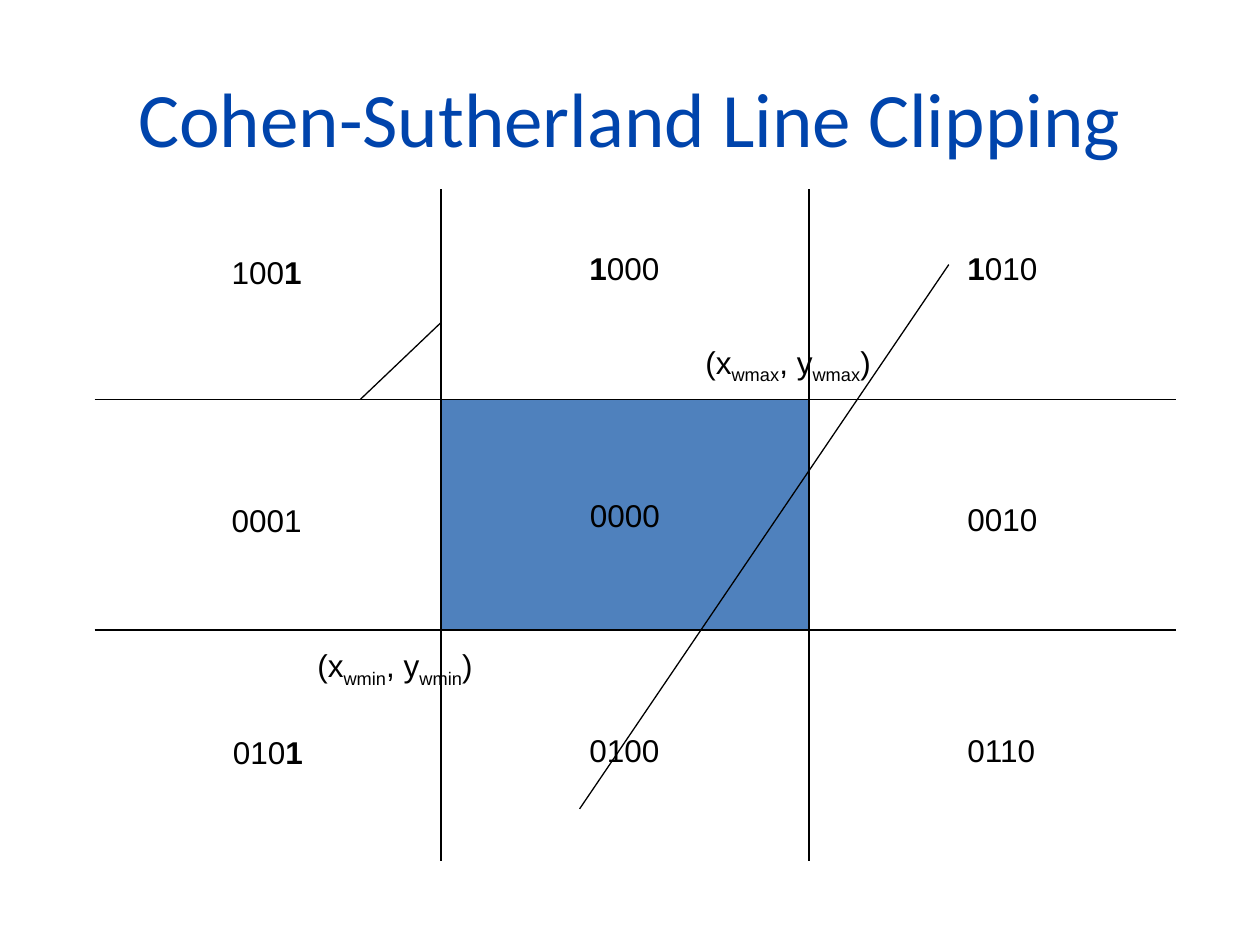
from pptx import Presentation
from pptx.dml.color import RGBColor
from pptx.enum.shapes import MSO_CONNECTOR, MSO_SHAPE
from pptx.enum.text import MSO_ANCHOR, PP_ALIGN
from pptx.oxml.ns import qn
from pptx.util import Inches, Pt
from lxml.etree import SubElement

COLORS = {"title": "0044AC", "window": "4F81BD", "ink": "000000"}


class ClippingSlide:
    def __init__(self, slide):
        self.slide = slide

    def color(self, name):
        return RGBColor.from_string(COLORS[name])

    def style_text(self, paragraph, size=18, font="Arial", color="ink"):
        paragraph.font.size = Pt(size)
        paragraph.font.name = font
        paragraph.font.color.rgb = self.color(color)

    def title(self, text, left, top, width, height):
        shape = self.slide.shapes.add_textbox(
            Inches(left), Inches(top), Inches(width), Inches(height))
        frame = shape.text_frame
        frame.word_wrap = True
        frame.vertical_anchor = MSO_ANCHOR.MIDDLE
        paragraph = frame.paragraphs[0]
        paragraph.text = text
        paragraph.alignment = PP_ALIGN.CENTER
        self.style_text(paragraph, 44, "Calibri", "title")

    def window(self, text, left, top, right, bottom):
        shape = self.slide.shapes.add_shape(
            MSO_SHAPE.RECTANGLE, Inches(left), Inches(top),
            Inches(right - left), Inches(bottom - top))
        shape.shadow.inherit = False
        shape.fill.solid()
        shape.fill.fore_color.rgb = self.color("window")
        shape.line.color.rgb = self.color("ink")
        shape.line.width = Pt(0.75)
        shape.text_frame.vertical_anchor = MSO_ANCHOR.MIDDLE
        paragraph = shape.text_frame.paragraphs[0]
        paragraph.text = text
        paragraph.alignment = PP_ALIGN.CENTER
        self.style_text(paragraph)

    def line(self, start_x, start_y, end_x, end_y):
        connector = self.slide.shapes.add_connector(
            MSO_CONNECTOR.STRAIGHT, Inches(start_x), Inches(start_y),
            Inches(end_x), Inches(end_y))
        connector.line.color.rgb = self.color("ink")
        connector.line.width = Pt(0.75)
        SubElement(connector._element.spPr, qn("a:effectLst"))

    def label(self, left, top, width, runs):
        shape = self.slide.shapes.add_textbox(
            Inches(left), Inches(top), Inches(width), Inches(0.4))
        shape.text_frame.word_wrap = False
        paragraph = shape.text_frame.paragraphs[0]
        self.style_text(paragraph)
        for text, style in runs:
            run = paragraph.add_run()
            run.text = text
            if style == "bold":
                run.font.bold = True
            elif style == "subscript":
                run._r.get_or_add_rPr().set("baseline", "-25000")

    def corner(self, left, top, width, subscript):
        self.label(left, top, width, [
            ("(x", "plain"), (subscript, "subscript"),
            (", y", "plain"), (subscript, "subscript"), (")", "plain")])


def main():
    presentation = Presentation()
    presentation.slide_width = Inches(10)
    presentation.slide_height = Inches(7.5)
    drawing = ClippingSlide(
        presentation.slides.add_slide(presentation.slide_layouts[6]))

    x_min, x_max = 3.5, 6.42
    y_top, y_bottom = 3.17, 5

    drawing.title("Cohen-Sutherland Line Clipping", 0.5, 0.3, 9, 1.25)
    drawing.window("0000", x_min, y_top, x_max, y_bottom)
    for x in (x_min, x_max):
        drawing.line(x, 1.5, x, 6.83)
    for y in (y_top, y_bottom):
        drawing.line(0.75, y, 9.33, y)

    region_codes = [
        (1.74, 1.96, [("100", "plain"), ("1", "bold")]),
        (1.74, 3.93, [("0001", "plain")]),
        (1.75, 5.77, [("010", "plain"), ("1", "bold")]),
        (4.58, 5.75, [("0100", "plain")]),
        (7.58, 5.75, [("0110", "plain")]),
        (7.58, 3.92, [("0010", "plain")]),
        (7.58, 1.93, [("1", "bold"), ("010", "plain")]),
        (4.58, 1.93, [("1", "bold"), ("000", "plain")]),
    ]
    for left, top, runs in region_codes:
        drawing.label(left, top, 0.76, runs)

    drawing.line(2.86, y_top, x_min, 2.56)
    drawing.corner(2.42, 5.08, 1.55, "wmin")
    drawing.corner(5.5, 2.67, 1.64, "wmax")
    drawing.line(7.53, 2.1, 4.6, 6.42)

    presentation.save("out.pptx")


if __name__ == "__main__":
    main()
